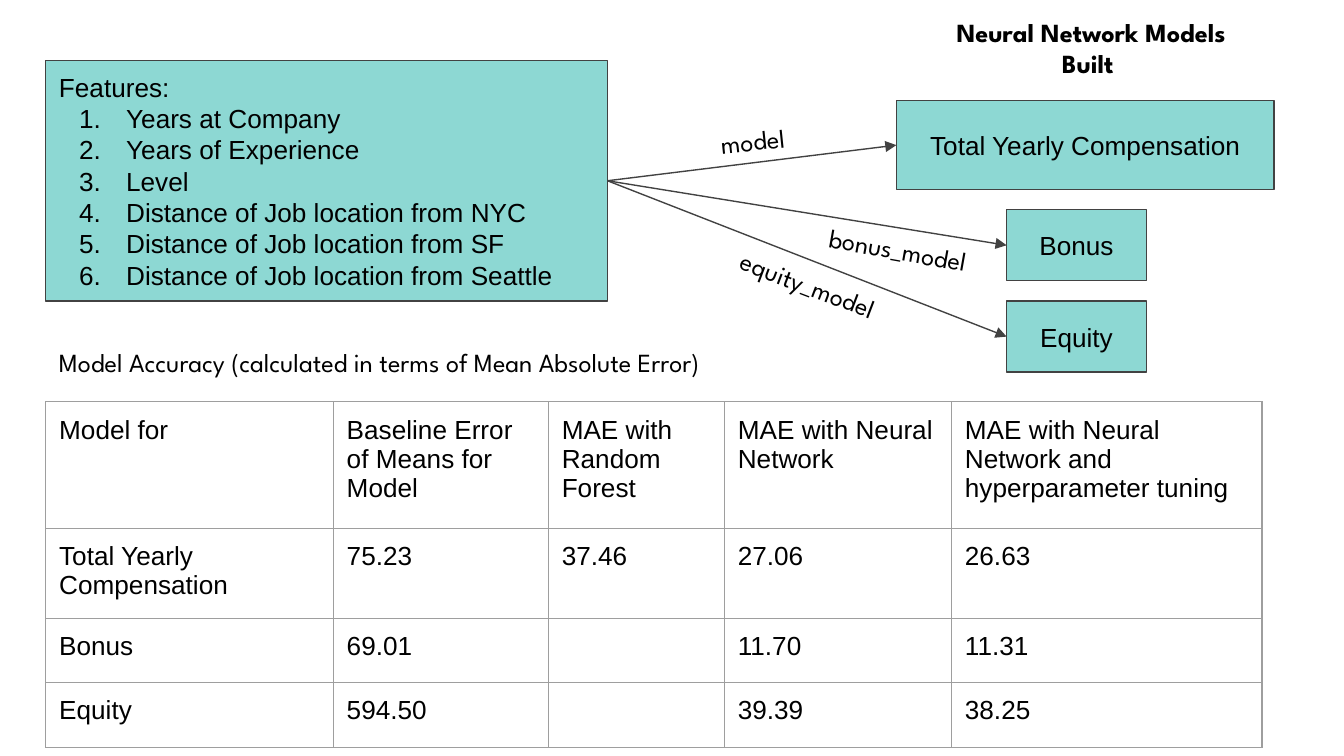
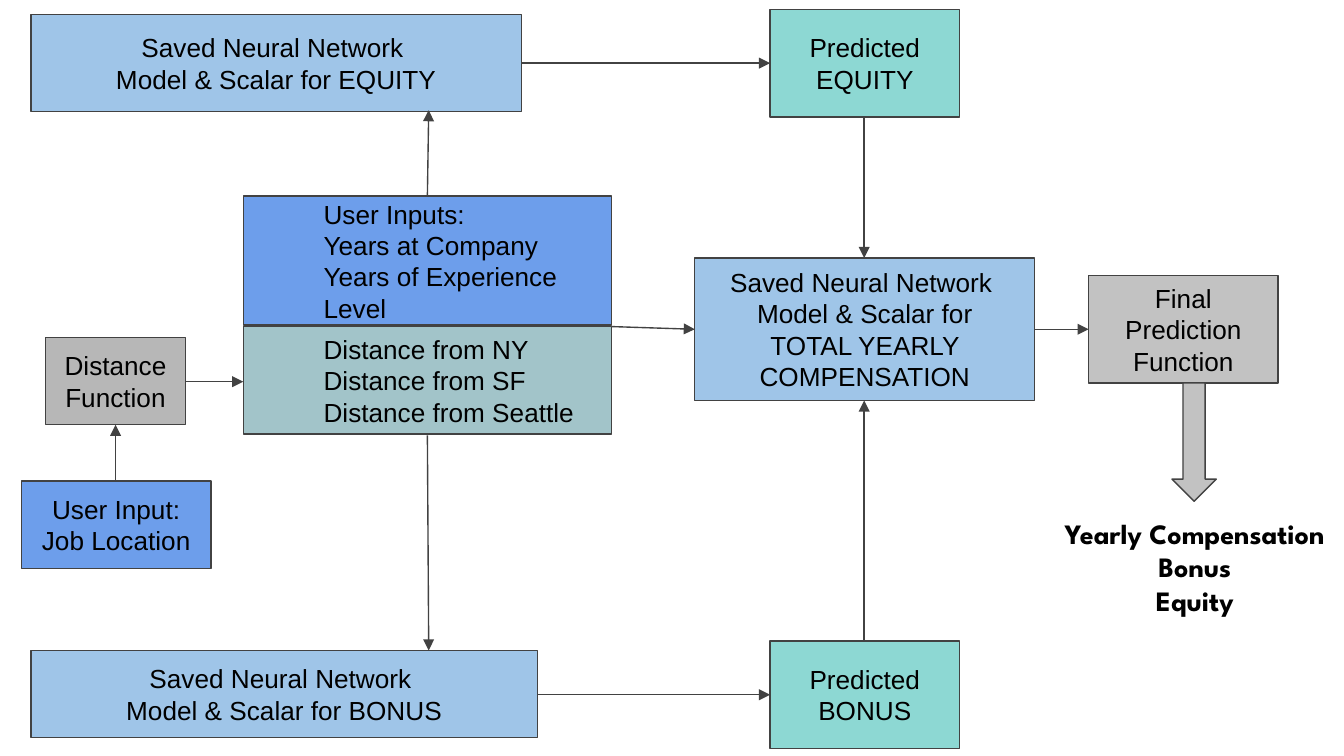
from dataclasses import dataclass
from typing import Any

from lxml.etree import SubElement
from pptx import Presentation
from pptx.dml.color import RGBColor
from pptx.enum.shapes import MSO_CONNECTOR, MSO_SHAPE
from pptx.enum.text import MSO_ANCHOR, MSO_AUTO_SIZE, PP_ALIGN
from pptx.oxml import parse_xml
from pptx.oxml.ns import nsdecls, qn
from pptx.util import Inches, Pt

SLIDE_SIZE = {"slide_width": Inches(10), "slide_height": Inches(10 * 9 / 16)}
TEAL, PALE_BLUE, BLUE = "8DD8D3", "9FC5E8", "6D9EEB"
SAGE, GREY, DARK_GREY = "A2C4C9", "C2C2C2", "B7B7B7"
OUTLINE, GRID, BLACK = "424242", "9E9E9E", "000000"
BODY_FONT, LABEL_FONT = "Arial", "League Spartan"
LINE_WIDTH = Pt(0.75)
MARGINS = {f"margin_{side}": Inches(0.1) for side in ("left", "top", "right", "bottom")}
BOX_FRAME = {**MARGINS, "word_wrap": True, "vertical_anchor": MSO_ANCHOR.MIDDLE}
LABEL_FRAME = {**MARGINS, "word_wrap": True, "auto_size": MSO_AUTO_SIZE.SHAPE_TO_FIT_TEXT}


@dataclass(frozen=True)
class Box:
    """A filled rectangle with text."""

    left: float
    top: float
    width: float
    height: float
    fill: str
    lines: tuple[str, ...]
    align: PP_ALIGN = PP_ALIGN.CENTER
    indent: float = 0
    numbered: bool = False


@dataclass(frozen=True)
class Label:
    """A free text in the label font."""

    left: float
    top: float
    width: float
    height: float
    lines: tuple[str, ...]
    rotation: float = 0
    bold: bool = False
    size: float = 14
    align: PP_ALIGN = PP_ALIGN.CENTER


@dataclass(frozen=True)
class Arrow:
    """A straight line with an arrowhead at its end."""

    start: tuple[float, float]
    end: tuple[float, float]


FEATURES = Box(
    0.34, 0.45, 4.18, 1.79, TEAL,
    ("Features:", "Years at Company", "Years of Experience", "Level",
     "Distance of Job location from NYC", "Distance of Job location from SF",
     "Distance of Job location from Seattle"),
    PP_ALIGN.LEFT, numbered=True,
)
TARGETS = (
    Box(6.67, 0.75, 2.81, 0.66, TEAL, ("Total Yearly Compensation",)),
    Box(7.49, 1.56, 1.04, 0.53, TEAL, ("Bonus",)),
    Box(7.49, 2.24, 1.04, 0.53, TEAL, ("Equity",)),
)
MODEL_LABELS = (
    Label(0.34, 2.48, 8.59, 0.44,
          ("Model Accuracy (calculated in terms of Mean Absolute Error)",),
          align=PP_ALIGN.LEFT),
    Label(6.86, 0.02, 2.52, 0.67, ("Neural Network Models Built ",), bold=True),
    Label(5.08, 0.83, 1.04, 0.44, ("model",), 354),
    Label(5.89, 1.64, 1.58, 0.44, ("bonus_model",), 10.1),
    Label(5.28, 1.9, 1.46, 0.44, ("equity_model",), 21),
)
COLUMN_WIDTHS = (2.14, 1.6, 1.31, 1.69, 2.31)
ROW_HEIGHTS = (0.94, 0.67, 0.43, 0.43)
ACCURACY_ROWS = (
    ("Model for", "Baseline Error of Means for Model", "MAE with Random Forest",
     "MAE with Neural Network", "MAE with Neural Network and hyperparameter tuning"),
    ("Total Yearly Compensation", "75.23", "37.46", "27.06", "26.63"),
    ("Bonus", "69.01", "", "11.70", "11.31"),
    ("Equity", "594.50", "", "39.39", "38.25"),
)

SAVED = "Saved Neural Network "
PIPELINE_BOXES = (
    Box(0.23, 4.84, 3.77, 0.65, PALE_BLUE, (SAVED, "Model & Scalar for BONUS")),
    Box(0.23, 0.11, 3.65, 0.72, PALE_BLUE, (SAVED, "Model & Scalar for EQUITY")),
    Box(5.73, 0.07, 1.41, 0.8, TEAL, ("Predicted", "EQUITY")),
    Box(5.73, 4.77, 1.41, 0.8, TEAL, ("Predicted", "BONUS")),
    Box(5.17, 1.92, 2.53, 1.06, PALE_BLUE,
        (SAVED, "Model & Scalar for", "TOTAL YEARLY COMPENSATION")),
    Box(8.1, 2.05, 1.41, 0.8, GREY, ("Final Prediction Function",)),
    Box(0.16, 3.58, 1.41, 0.65, BLUE, ("User Input:", "Job Location")),
    Box(0.34, 2.51, 1.04, 0.65, DARK_GREY, ("Distance Function",)),
    Box(1.81, 2.43, 2.74, 0.8, SAGE,
        ("Distance from NY", "Distance from SF", "Distance from Seattle"),
        PP_ALIGN.LEFT, 0.5),
    Box(1.81, 1.46, 2.74, 0.96, BLUE,
        ("User Inputs:", "Years at Company", "Years of Experience", "Level"),
        PP_ALIGN.LEFT, 0.5),
)
PIPELINE_ARROWS = (
    Arrow((3.88, 0.47), (5.73, 0.47)),
    Arrow((6.43, 4.77), (6.43, 2.98)),
    Arrow((4, 5.17), (5.73, 5.17)),
    Arrow((6.43, 0.88), (6.43, 1.92)),
    Arrow((7.7, 2.45), (8.1, 2.45)),
    Arrow((0.86, 3.58), (0.86, 3.16)),
    Arrow((1.38, 2.84), (1.81, 2.84)),
    Arrow((3.18, 1.46), (3.19, 0.82)),
    Arrow((3.18, 3.24), (3.19, 4.84)),
    Arrow((4.55, 2.43), (5.17, 2.45)),
)
OUTPUTS = Label(7.7, 3.74, 2.38, 0.96, ("Yearly Compensation", "Bonus", "Equity"),
                bold=True, size=15)


def color(value: str) -> RGBColor:
    """Turn a hex string into a colour."""
    return RGBColor.from_string(value)


def apply_format(target: Any, values: dict[str, Any]) -> None:
    """Set each named attribute on the target."""
    for name, value in values.items():
        setattr(target, name, value)


def style_font(paragraph: Any, name: str = BODY_FONT, size: float = 14,
               bold: bool = False) -> None:
    """Give every run of a paragraph its font."""
    for run in paragraph.runs:
        apply_format(run.font, {"name": name, "size": Pt(size), "bold": bold})
        run.font.color.rgb = color(BLACK)


def add_paragraphs(frame: Any, lines: tuple[str, ...], align: PP_ALIGN) -> list[Any]:
    """Fill a text frame with one paragraph per line."""
    frame.text = "\n".join(lines)
    for paragraph in frame.paragraphs:
        paragraph.alignment = align
    return list(frame.paragraphs)


def set_indent(paragraph: Any, left: float, hanging: float = 0) -> Any:
    """Set the left margin and hanging indent, and return the properties."""
    properties = paragraph._p.get_or_add_pPr()
    properties.set("marL", str(Inches(left)))
    properties.set("indent", str(-Inches(hanging)))
    return properties


def add_number(paragraph: Any) -> None:
    """Number a paragraph as a list item."""
    properties = set_indent(paragraph, 0.5, 0.35)
    bullet_color = SubElement(properties, qn("a:buClr"))
    SubElement(bullet_color, qn("a:srgbClr"), val=BLACK)
    SubElement(properties, qn("a:buFont"), typeface=BODY_FONT)
    SubElement(properties, qn("a:buAutoNum"), type="arabicPeriod")


def add_filled_shape(slide: Any, kind: MSO_SHAPE, left: float, top: float,
                     width: float, height: float, fill: str) -> Any:
    """Add an outlined shape without shadow."""
    shape = slide.shapes.add_shape(kind, Inches(left), Inches(top),
                                   Inches(width), Inches(height))
    shape.shadow.inherit = False
    shape.fill.solid()
    shape.fill.fore_color.rgb = color(fill)
    shape.line.color.rgb = color(OUTLINE)
    shape.line.width = LINE_WIDTH
    return shape


def add_box(slide: Any, box: Box) -> None:
    """Draw a box with its text."""
    shape = add_filled_shape(slide, MSO_SHAPE.RECTANGLE, box.left, box.top,
                             box.width, box.height, box.fill)
    apply_format(shape.text_frame, BOX_FRAME)
    for index, paragraph in enumerate(add_paragraphs(shape.text_frame, box.lines, box.align)):
        paragraph.line_spacing = Pt(16.8)
        if box.numbered and index:
            add_number(paragraph)
        elif box.indent:
            set_indent(paragraph, box.indent)
        style_font(paragraph)


def add_label(slide: Any, label: Label) -> None:
    """Draw a label, turned if needed."""
    shape = slide.shapes.add_textbox(Inches(label.left), Inches(label.top),
                                     Inches(label.width), Inches(label.height))
    shape.rotation = label.rotation
    apply_format(shape.text_frame, LABEL_FRAME)
    for paragraph in add_paragraphs(shape.text_frame, label.lines, label.align):
        style_font(paragraph, LABEL_FONT, label.size, label.bold)


def add_arrow(slide: Any, arrow: Arrow) -> None:
    """Draw an arrow."""
    points = [Inches(value) for value in (*arrow.start, *arrow.end)]
    connector = slide.shapes.add_connector(MSO_CONNECTOR.STRAIGHT, *points)
    connector.line.color.rgb = color(OUTLINE)
    connector.line.width = LINE_WIDTH
    SubElement(connector.line._get_or_add_ln(), qn("a:tailEnd"), type="triangle")
    SubElement(connector._element.spPr, qn("a:effectLst"))


def add_borders(cell: Any) -> None:
    """Outline the four sides of a cell."""
    properties = cell._tc.get_or_add_tcPr()
    for index, side in enumerate("LRTB"):
        border = parse_xml(
            f'<a:ln{side} {nsdecls("a")} w="{LINE_WIDTH}"><a:solidFill>'
            f'<a:srgbClr val="{GRID}"/></a:solidFill></a:ln{side}>')
        properties.insert(index, border)


def fill_cell(cell: Any, text: str) -> None:
    """Write a cell, or set the font that gives an empty one its height."""
    paragraph = cell.text_frame.paragraphs[0]
    if text:
        paragraph.text = text
        style_font(paragraph)
    else:
        ending = SubElement(paragraph._p, qn("a:endParaRPr"), sz="1800")
        SubElement(ending, qn("a:latin"), typeface=BODY_FONT)


def add_accuracy_table(slide: Any) -> None:
    """Draw the table of model errors."""
    frame = slide.shapes.add_table(
        len(ROW_HEIGHTS), len(COLUMN_WIDTHS), Inches(0.34), Inches(2.99),
        Inches(sum(COLUMN_WIDTHS)), Inches(sum(ROW_HEIGHTS)))
    table = frame.table
    apply_format(table, {"first_row": False, "horz_banding": False})
    for column, width in zip(table.columns, COLUMN_WIDTHS):
        column.width = Inches(width)
    for row, height, texts in zip(table.rows, ROW_HEIGHTS, ACCURACY_ROWS):
        row.height = Inches(height)
        for cell, text in zip(row.cells, texts):
            apply_format(cell, MARGINS)
            cell.fill.background()
            add_borders(cell)
            fill_cell(cell, text)


def build_models_slide(slide: Any) -> None:
    """Draw the features, the models and their accuracy."""
    add_accuracy_table(slide)
    add_box(slide, FEATURES)
    start = (FEATURES.left + FEATURES.width, FEATURES.top + FEATURES.height / 2)
    for target in TARGETS:
        add_box(slide, target)
        add_arrow(slide, Arrow(start, (target.left, target.top + target.height / 2)))
    for label in MODEL_LABELS:
        add_label(slide, label)


def build_pipeline_slide(slide: Any) -> None:
    """Draw the flow from user inputs to the final prediction."""
    for box in PIPELINE_BOXES:
        add_box(slide, box)
    for arrow in PIPELINE_ARROWS:
        add_arrow(slide, arrow)
    add_filled_shape(slide, MSO_SHAPE.DOWN_ARROW, 8.72, 2.85, 0.33, 0.88, GREY)
    add_label(slide, OUTPUTS)


def main() -> None:
    """Build and save the presentation."""
    presentation = Presentation()
    apply_format(presentation, SLIDE_SIZE)
    for build in (build_models_slide, build_pipeline_slide):
        build(presentation.slides.add_slide(presentation.slide_layouts[6]))
    presentation.save("out.pptx")


if __name__ == "__main__":
    main()
